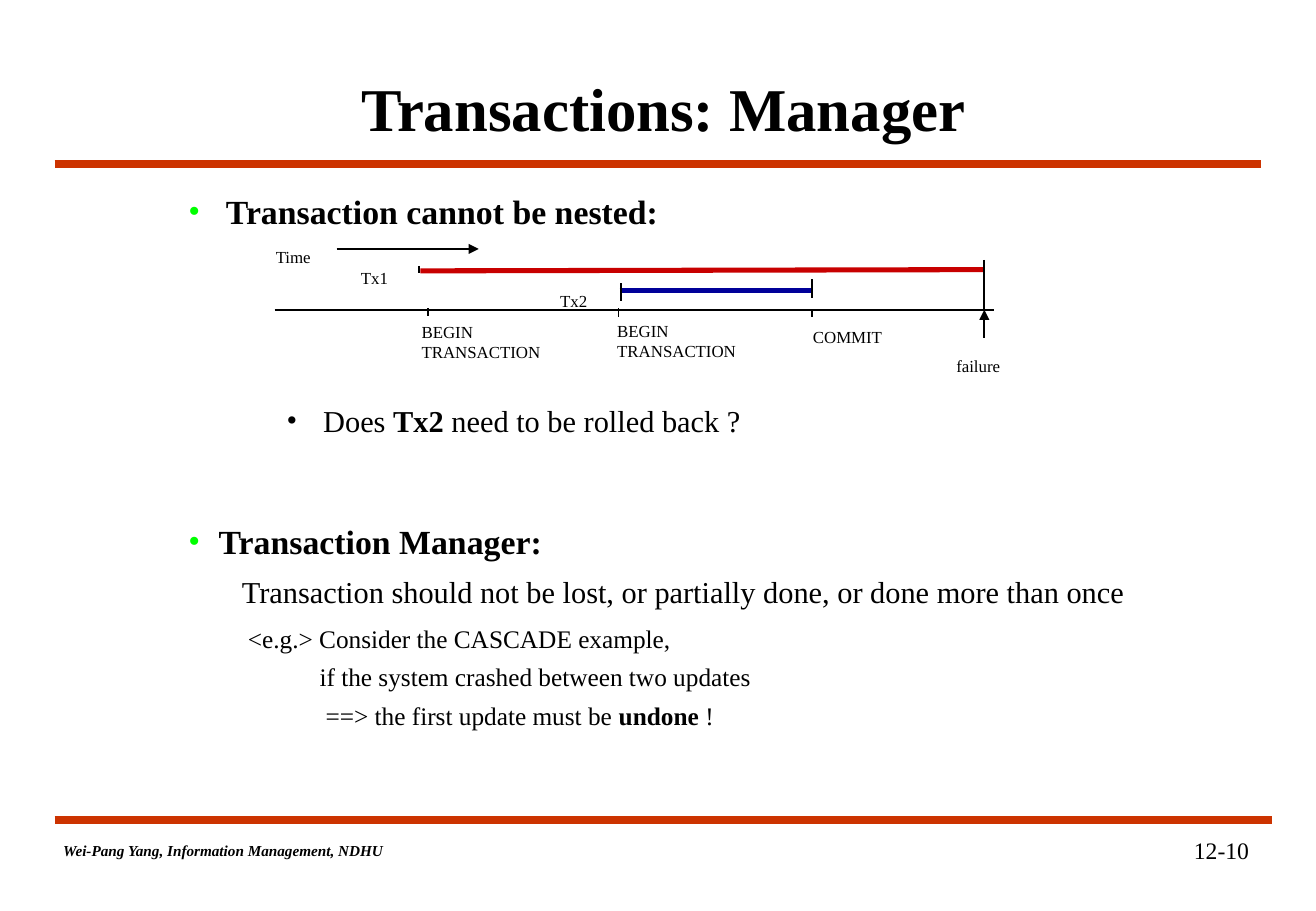
from pptx import Presentation
from pptx.dml.color import RGBColor
from pptx.enum.shapes import MSO_CONNECTOR
from pptx.enum.text import MSO_ANCHOR, PP_ALIGN
from pptx.oxml.ns import qn
from pptx.util import Inches, Pt
from lxml import etree

BLACK = RGBColor(0x00, 0x00, 0x00)
RULE = RGBColor(0xCC, 0x33, 0x00)
RED = RGBColor(0xC8, 0x00, 0x00)
BLUE = RGBColor(0x00, 0x00, 0x99)
GREEN = RGBColor(0x00, 0xFF, 0x00)
FONT = "Times New Roman"

prs = Presentation()
prs.slide_width, prs.slide_height = Inches(10.83), Inches(7.5)
s = prs.slides.add_slide(prs.slide_layouts[6])


def add_line(x1, y1, x2, y2, color=BLACK, width=1, arrow=False):
    c = s.shapes.add_connector(MSO_CONNECTOR.STRAIGHT, Inches(x1), Inches(y1),
                               Inches(x2), Inches(y2))
    c.line.color.rgb = color
    c.line.width = Pt(width)
    if arrow:
        etree.SubElement(c.line._get_or_add_ln(), qn("a:tailEnd"), type="triangle")
    etree.SubElement(c._element.spPr, qn("a:effectLst"))


def add_text(x, y, w, h, paragraphs, align=PP_ALIGN.LEFT, anchor=MSO_ANCHOR.TOP):
    """Each paragraph is (size, runs, left indent, space before, bullet colour);
    each run is (text, bold, italic)."""
    tf = s.shapes.add_textbox(Inches(x), Inches(y), Inches(w), Inches(h)).text_frame
    tf.word_wrap = True
    tf.vertical_anchor = anchor
    tf.margin_left = tf.margin_right = tf.margin_top = tf.margin_bottom = 0
    for i, (size, runs, indent, before, bullet) in enumerate(paragraphs):
        p = tf.paragraphs[0] if i == 0 else tf.add_paragraph()
        p.alignment = align
        p.space_before = Pt(before)
        pPr = p._p.get_or_add_pPr()
        pPr.set("marL", str(Inches(indent)))
        if bullet is not None:
            pPr.set("indent", str(-Inches(indent)))
            clr = etree.SubElement(pPr, qn("a:buClr"))
            etree.SubElement(clr, qn("a:srgbClr"), val=str(bullet))
            etree.SubElement(pPr, qn("a:buFont"), typeface=FONT)
            etree.SubElement(pPr, qn("a:buChar"), char="•")
        for text, bold, italic in runs:
            r = p.add_run()
            r.text = text
            r.font.name = FONT
            r.font.size = Pt(size)
            r.font.bold = bold
            r.font.italic = italic
            r.font.color.rgb = BLACK


# Title, rules and footer
add_line(0.45, 6.75, 10.47, 6.75, RULE, 4.5)
add_line(0.45, 1.35, 10.38, 1.35, RULE, 4.5)
add_text(0.99, 0.42, 8.94, 0.92,
         [(36, [("Transactions: Manager", True, False)], 0, 0, None)],
         PP_ALIGN.CENTER, MSO_ANCHOR.MIDDLE)
add_text(0.52, 6.93, 3.5, 0.2,
         [(9, [("Wei-Pang Yang, Information Management, NDHU", True, True)], 0, 0, None)])
add_text(8.22, 6.88, 2.06, 0.3,
         [(14, [("12-10", False, False)], 0, 0, None)], PP_ALIGN.RIGHT)

# Body text
add_text(1.55, 1.57, 8, 0.35,
         [(20, [("Transaction cannot be nested:", True, False)], 0.31, 0, GREEN)])
add_text(2.36, 3.31, 5, 0.32,
         [(18, [("Does ", False, False), ("Tx2", True, False),
                (" need to be rolled back ?", False, False)], 0.3, 0, BLACK)])
add_text(1.55, 4.29, 8.8, 1.75, [
    (20, [("Transaction Manager:", True, False)], 0.25, 0, GREEN),
    (18, [("Transaction should not be lost, or partially done, or done more than once",
           False, False)], 0.44, 6.8, None),
    (15, [("<e.g.> Consider the CASCADE example,", False, False)], 0.49, 8.2, None),
    (15, [("if the system crashed between two updates", False, False)], 1.08, 4.7, None),
    (15, [("==> the first update must be ", False, False), ("undone", True, False),
          (" !", False, False)], 1.13, 4.7, None),
])

# Timeline
add_line(2.26, 2.55, 8.18, 2.55)
add_line(3.46, 2.23, 8.1, 2.22, RED, 3)
add_line(5.1, 2.39, 6.68, 2.39, BLUE, 3)
for x, top, bottom in [(3.52, 2.54, 2.6), (5.09, 2.54, 2.61), (6.68, 2.55, 2.61),
                       (3.45, 2.19, 2.25), (8.1, 2.14, 2.55),
                       (5.11, 2.33, 2.48), (6.68, 2.3, 2.45)]:
    add_line(x, top, x, bottom)
add_line(2.77, 2.05, 3.94, 2.05, arrow=True)
add_line(8.1, 2.78, 8.1, 2.55, arrow=True)

for x, y, lines in [(2.27, 2.03, ["Time"]), (2.97, 2.2, ["Tx1"]), (4.61, 2.39, ["Tx2"]),
                    (3.47, 2.65, ["BEGIN", "TRANSACTION"]),
                    (5.08, 2.64, ["BEGIN", "TRANSACTION"]),
                    (6.69, 2.69, ["COMMIT"]), (7.87, 2.93, ["failure"])]:
    add_text(x, y, 1.1, 0.17 * len(lines),
             [(10, [(line, False, False)], 0, 0, None) for line in lines])

prs.save("out.pptx")
